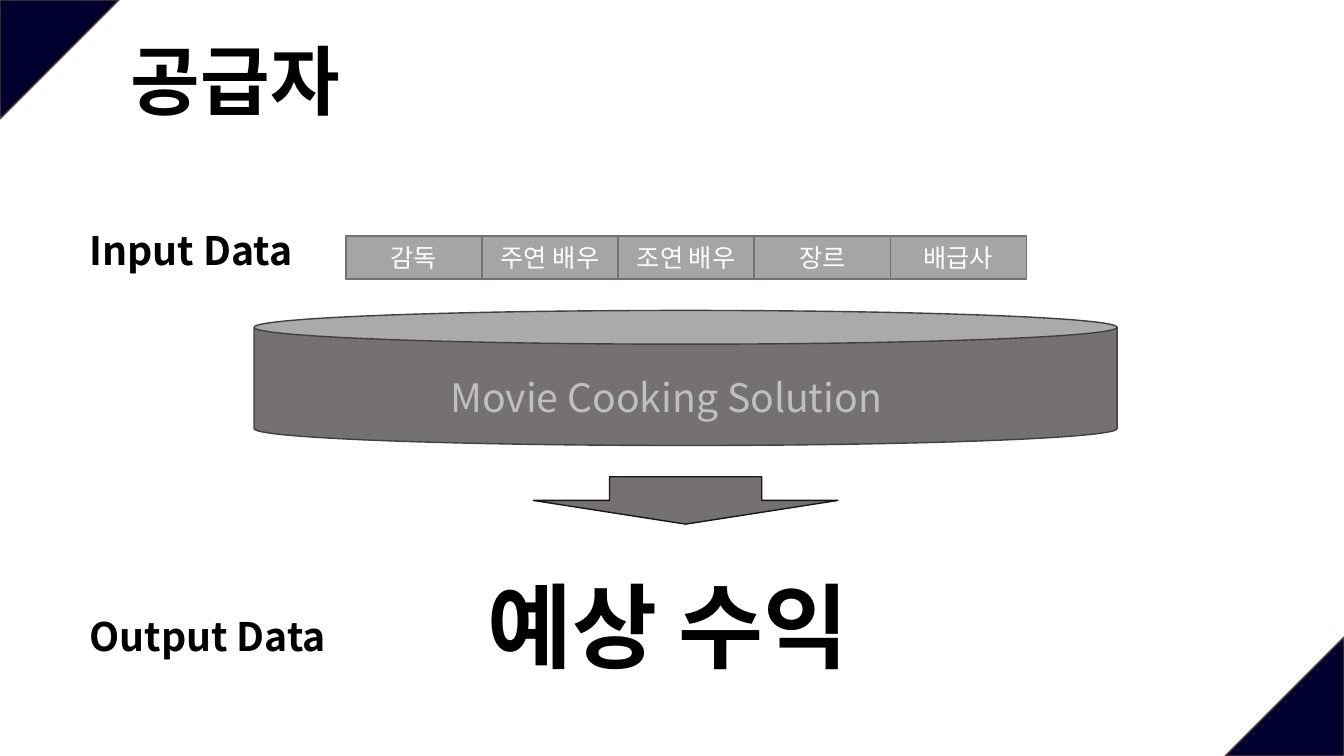
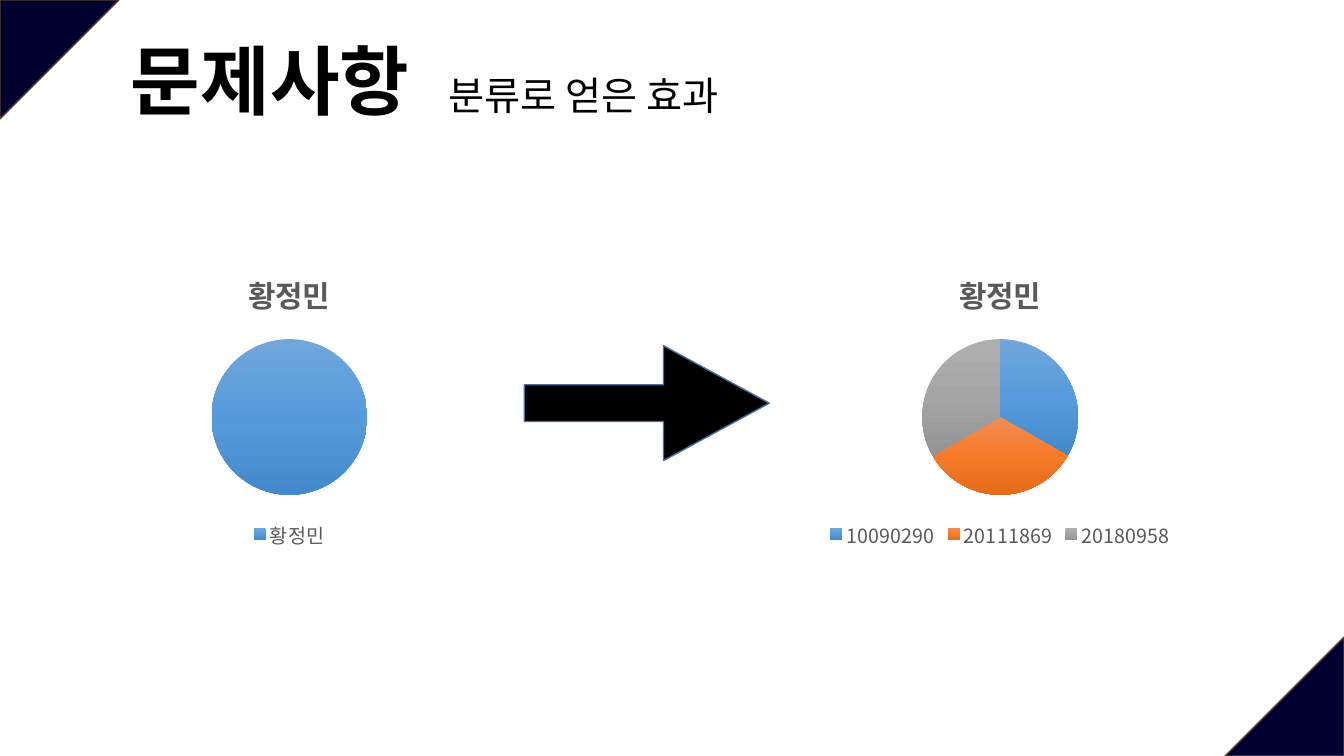
import pptx
import pptx.chart.data
import pptx.dml.color
import pptx.enum.chart
import pptx.enum.shapes
import pptx.enum.text
import pptx.oxml
import pptx.oxml.ns
import pptx.util

Inches = pptx.util.Inches
Pt = pptx.util.Pt
RGBColor = pptx.dml.color.RGBColor
Shape = pptx.enum.shapes.MSO_SHAPE
qn = pptx.oxml.ns.qn

NAVY = RGBColor(0x00, 0x00, 0x2F)
BROWN = RGBColor(0x5B, 0x3F, 0x33)
BLACK = RGBColor(0x00, 0x00, 0x00)
WHITE = RGBColor(0xFF, 0xFF, 0xFF)
SILVER = RGBColor(0xBF, 0xBF, 0xBF)
GRAY = RGBColor(0xA5, 0xA5, 0xA5)
DARK_GRAY = RGBColor(0x76, 0x71, 0x71)
CAN_EDGE = RGBColor(0x40, 0x40, 0x40)
ARROW_EDGE = RGBColor(0x18, 0x17, 0x17)
BLUE_EDGE = RGBColor(0x43, 0x73, 0x9E)
CHART_TEXT = RGBColor(0x59, 0x59, 0x59)

# Top, middle and bottom colour of each pie slice
SLICE_GRADIENTS = [
    ("71A6DB", "559BDB", "448ACA"),
    ("F18C57", "F67B28", "E56C19"),
    ("AFAFAF", "A5A5A5", "939393"),
]

SANS = "Noto Sans CJK KR"
CALIBRI = "Calibri"
SLIDE_WIDTH, SLIDE_HEIGHT = 13.33, 7.5
CORNER_SIZE = 1.18

TITLE = {"name": SANS, "size": Pt(54), "bold": True}
SUBTITLE = {"name": SANS, "size": Pt(28)}
LABEL = {**SUBTITLE, "bold": True}
RESULT = {"name": CALIBRI, "size": Pt(66), "bold": True}
CELL = {"name": CALIBRI, "size": Pt(18)}
CHART_TITLE = {"name": SANS, "size": Pt(21.3), "bold": True}
LEGEND = {"name": SANS, "size": Pt(14), "bold": False}


def format_font(font, style, color):
    for attribute, value in style.items():
        setattr(font, attribute, value)
    font.color.rgb = color


def write_text(shape, text, style, color):
    """Fill the first paragraph, with the Korean typeface for Hangul."""
    run = shape.text_frame.paragraphs[0].add_run()
    run.text = text
    format_font(run.font, style, color)
    east_asian = pptx.oxml.parse_xml(
        f'<a:ea {pptx.oxml.ns.nsdecls("a")} typeface="{SANS}"/>')
    run.font._element.find(qn("a:latin")).addnext(east_asian)


def add_text(slide, text, box, style, color=BLACK):
    text_box = slide.shapes.add_textbox(*map(Inches, box))
    text_box.text_frame.word_wrap = True
    text_box.text_frame.auto_size = pptx.enum.text.MSO_AUTO_SIZE.SHAPE_TO_FIT_TEXT
    write_text(text_box, text, style, color)


def add_shape(slide, kind, box, fill, line, adjustments=()):
    shape = slide.shapes.add_shape(kind, *map(Inches, box))
    shape.shadow.inherit = False
    shape.fill.solid()
    shape.fill.fore_color.rgb = fill
    shape.line.color.rgb = line
    shape.line.width = Pt(1)
    for index, value in enumerate(adjustments):
        shape.adjustments[index] = value
    return shape


def add_cell(slide, text, box):
    cell = add_shape(slide, Shape.RECTANGLE, box, GRAY, DARK_GRAY)
    cell.text_frame.vertical_anchor = pptx.enum.text.MSO_ANCHOR.MIDDLE
    cell.text_frame.paragraphs[0].alignment = pptx.enum.text.PP_ALIGN.CENTER
    write_text(cell, text, CELL, WHITE)


def add_pie(slide, box, title, values):
    """Draw a titled pie chart from a dict of category values."""
    data = pptx.chart.data.CategoryChartData()
    data.categories = list(values)
    data.add_series(title, list(values.values()))
    chart = slide.shapes.add_chart(
        pptx.enum.chart.XL_CHART_TYPE.PIE, *map(Inches, box), data).chart
    format_font(chart.font, {"name": SANS, "size": Pt(10)}, BLACK)

    chart.has_title = True
    paragraph = chart.chart_title.text_frame.paragraphs[0]
    run = paragraph.add_run()
    run.text = title
    format_font(run.font, CHART_TITLE, CHART_TEXT)
    chart.chart_title.include_in_layout = False

    chart.has_legend = True
    chart.legend.position = pptx.enum.chart.XL_LEGEND_POSITION.BOTTOM
    chart.legend.include_in_layout = False
    format_font(chart.legend.font, LEGEND, CHART_TEXT)

    chart.plots[0].vary_by_categories = True
    series = chart.plots[0].series[0]
    for index in range(len(values)):
        point_format = series.points[index].format
        point_format.fill.gradient()
        point_format.fill.gradient_angle = 270
        point_format.line.fill.background()
    stop_lists = series._element.iter(qn("a:gsLst"))
    for stop_list, colors in zip(list(stop_lists), SLICE_GRADIENTS):
        for stop in list(stop_list):
            stop_list.remove(stop)
        for position, color in zip((0, 50000, 100000), colors):
            stop_list.append(pptx.oxml.parse_xml(
                f'<a:gs {pptx.oxml.ns.nsdecls("a")} pos="{position}">'
                f'<a:srgbClr val="{color}"/></a:gs>'))


def add_slide(presentation, title, title_width):
    """Add a blank slide with the two corner triangles and a title."""
    slide = presentation.slides.add_slide(presentation.slide_layouts[6])
    far_corner = (SLIDE_WIDTH - CORNER_SIZE, SLIDE_HEIGHT - CORNER_SIZE)
    for (left, top), rotation in (((0, 0), 90), (far_corner, 270)):
        corner = add_shape(slide, Shape.ISOSCELES_TRIANGLE,
                           (left, top, CORNER_SIZE, CORNER_SIZE), NAVY, BROWN, [0])
        corner.rotation = rotation
    add_text(slide, title, (1.2, 0.29, title_width, 1.01), TITLE)
    return slide


def build_supplier_slide(presentation):
    slide = add_slide(presentation, "공급자", 3.23)
    cell_width = 1.35
    inputs = ("감독", "주연 배우", "조연 배우", "장르", "배급사")
    for index, text in enumerate(inputs):
        add_cell(slide, text, (3.43 + index * cell_width, 2.34, cell_width, 0.43))
    add_shape(slide, Shape.CAN, (2.52, 3.08, 8.56, 1.34), DARK_GRAY, CAN_EDGE)
    add_shape(slide, Shape.DOWN_ARROW, (5.29, 4.73, 3.02, 0.47), DARK_GRAY, ARROW_EDGE)
    add_text(slide, "예상 수익", (4.74, 5.6, 4.37, 1.21), RESULT)
    add_text(slide, "Input Data", (0.79, 2.2, 2.31, 0.57), LABEL)
    add_text(slide, "Output Data", (0.79, 6.03, 2.63, 0.57), LABEL)
    add_text(slide, "Movie Cooking Solution", (4.37, 3.65, 4.86, 0.57), SUBTITLE, SILVER)


def build_problem_slide(presentation):
    slide = add_slide(presentation, "문제사항", 4.44)
    add_text(slide, "분류로 얻은 효과", (4.35, 0.66, 4.87, 0.57), SUBTITLE)
    actor = "황정민"
    split_values = {"10090290": 33, "20111869": 33, "20180958": 33}
    for left, values in ((0.35, {actor: 100}), (7.4, split_values)):
        add_pie(slide, (left, 2.52, 5.04, 2.96), actor, values)
    add_shape(slide, Shape.RIGHT_ARROW, (5.2, 3.43, 2.43, 1.14),
              BLACK, BLUE_EDGE, [0.32, 0.92])


def main():
    presentation = pptx.Presentation()
    presentation.slide_width = Inches(SLIDE_WIDTH)
    presentation.slide_height = Inches(SLIDE_HEIGHT)
    build_supplier_slide(presentation)
    build_problem_slide(presentation)
    presentation.save("out.pptx")


if __name__ == "__main__":
    main()
